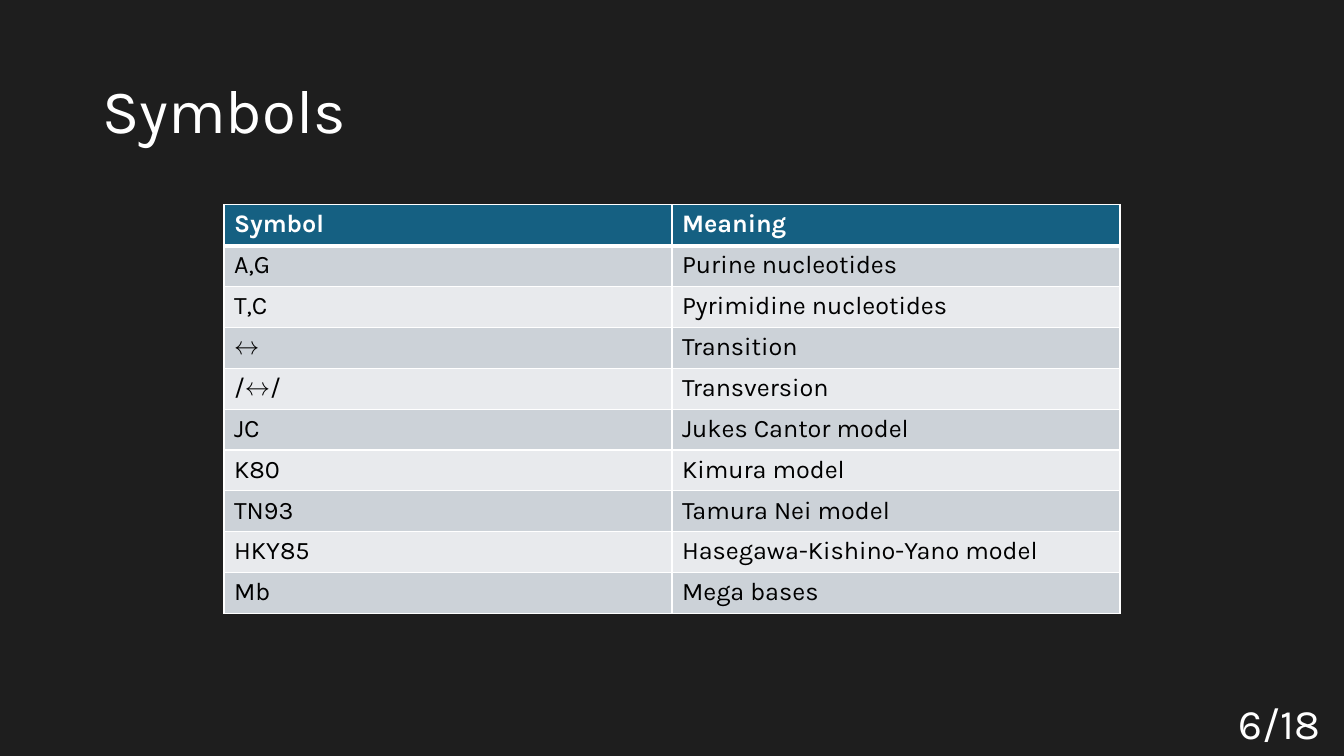
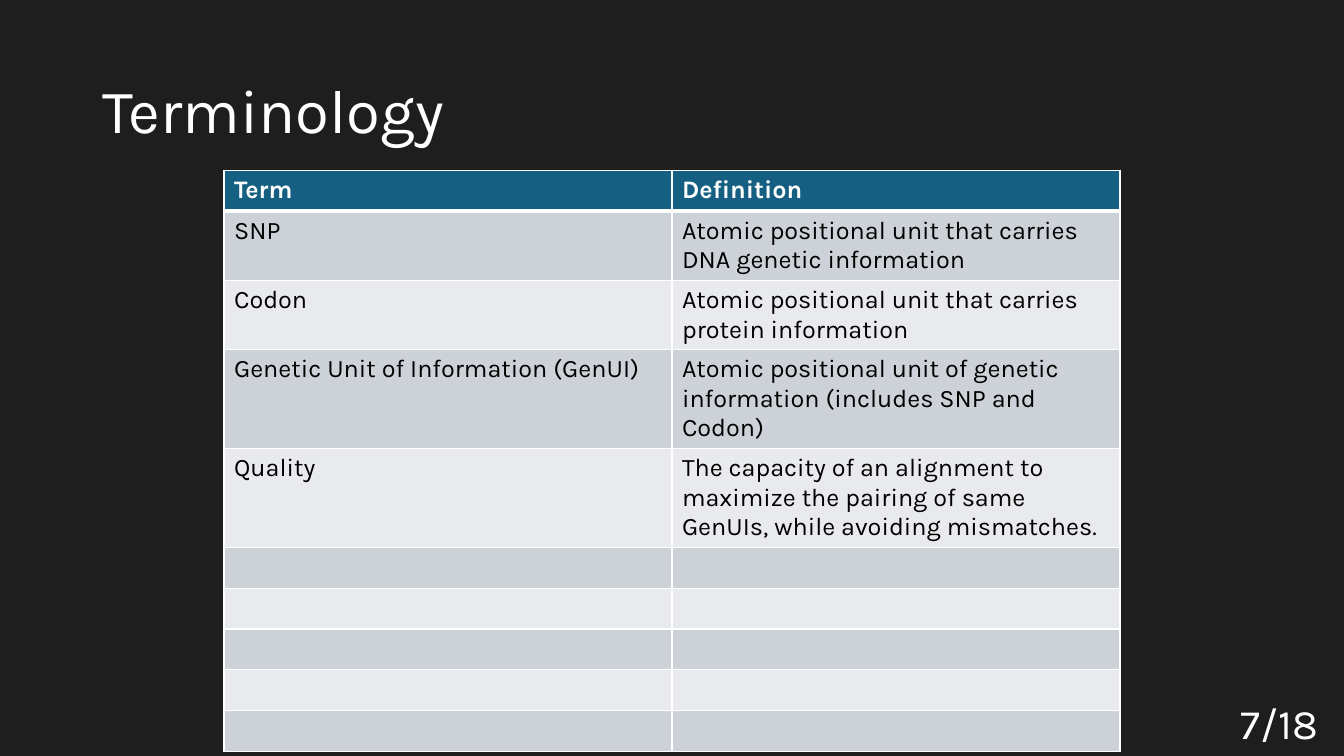
from pptx import Presentation
from pptx.dml.color import RGBColor
from pptx.enum import text
from pptx.oxml import parse_xml
from pptx.oxml.ns import nsdecls
from pptx.util import Cm, Pt

# Content
SLIDES = [
    {
        "title": "Symbols",
        "page": "6/18",
        "table_top": 5.16,
        "rows": [
            ("Symbol", "Meaning"),
            ("A,G", "Purine nucleotides"),
            ("T,C", "Pyrimidine nucleotides"),
            ("↔", "Transition"),
            ("/↔/", "Transversion"),
            ("JC", "Jukes Cantor model"),
            ("K80", "Kimura model"),
            ("TN93", "Tamura Nei model"),
            ("HKY85", "Hasegawa-Kishino-Yano model"),
            ("Mb", "Mega bases"),
        ],
    },
    {
        "title": "Terminology",
        "page": "7/18",
        "table_top": 4.29,
        "rows": [
            ("Term", "Definition"),
            ("SNP", "Atomic positional unit that carries DNA genetic information"),
            ("Codon", "Atomic positional unit that carries protein information"),
            ("Genetic Unit of Information (GenUI)",
             "Atomic positional unit of genetic information (includes SNP and Codon)"),
            ("Quality",
             "The capacity of an alignment to maximize the pairing of same GenUIs, "
             "while avoiding mismatches."),
        ] + [("", "")] * 5,
    },
]

# Shared style
FONT = "Karla"
COLORS = {
    "background": "1E1E1E",
    "light": "FFFFFF",
    "dark": "000000",
    "header": "156082",
    "odd": "CCD2D8",
    "even": "E8EAED",
}
SLIDE_WIDTH, SLIDE_HEIGHT = Cm(33.87), Cm(19.05)
TABLE_WIDTH, ROW_HEIGHT = Cm(22.58), Cm(1.03)
THIN, THICK = 1, 3


def color(name):
    return RGBColor.from_string(COLORS[name])


def format_runs(paragraph, size, color_name, bold=False):
    for run in paragraph.runs:
        run.font.name = FONT
        run.font.size = Pt(size)
        run.font.bold = bold
        run.font.color.rgb = color(color_name)


def add_borders(cell, top, bottom):
    properties = cell._tc.get_or_add_tcPr()
    for side, width in (("L", THIN), ("R", THIN), ("T", top), ("B", bottom)):
        properties.append(parse_xml(
            f'<a:ln{side} {nsdecls("a")} w="{Pt(width)}"><a:solidFill>'
            f'<a:srgbClr val="{COLORS["light"]}"/></a:solidFill></a:ln{side}>'))


def add_title(slide, title):
    slide.shapes.title.text_frame.text = title
    paragraph = slide.shapes.title.text_frame.paragraphs[0]
    paragraph.alignment = text.PP_ALIGN.LEFT
    paragraph.line_spacing = 0.9
    format_runs(paragraph, 44, "light")


def add_banded_table(slide, rows, top):
    columns = len(rows[0])
    table = slide.shapes.add_table(
        len(rows), columns, (SLIDE_WIDTH - TABLE_WIDTH) // 2, Cm(top),
        TABLE_WIDTH, ROW_HEIGHT * len(rows)).table
    for row_index, row in enumerate(rows):
        is_header = row_index == 0
        band = "header" if is_header else ("even", "odd")[row_index % 2]
        for column_index, value in enumerate(row):
            cell = table.cell(row_index, column_index)
            add_borders(cell, THICK if row_index == 1 else THIN,
                        THICK if is_header else THIN)
            cell.fill.solid()
            cell.fill.fore_color.rgb = color(band)
            if value:
                cell.text_frame.text = value
                format_runs(cell.text_frame.paragraphs[0], 18,
                            "light" if is_header else "dark", is_header)


def add_page_number(slide, page):
    box = slide.shapes.add_textbox(Cm(30.63), Cm(17.15), Cm(3.23), Cm(1.83))
    frame = box.text_frame
    frame.word_wrap = True
    frame.vertical_anchor = text.MSO_ANCHOR.BOTTOM
    frame.text = page
    paragraph = frame.paragraphs[0]
    paragraph.alignment = text.PP_ALIGN.CENTER
    paragraph.line_spacing = 0.9
    format_runs(paragraph, 30, "light")


def main():
    presentation = Presentation()
    presentation.slide_width, presentation.slide_height = SLIDE_WIDTH, SLIDE_HEIGHT

    # Background and title place, inherited by every slide
    background = presentation.slide_master.background.fill
    background.solid()
    background.fore_color.rgb = color("background")
    layout = presentation.slide_layouts.get_by_name("Title Only")
    title = layout.placeholders[0]
    title.left, title.top, title.width, title.height = (
        Cm(2.33), Cm(1.02), Cm(29.21), Cm(3.68))
    title.text_frame.vertical_anchor = text.MSO_ANCHOR.MIDDLE

    for content in SLIDES:
        slide = presentation.slides.add_slide(layout)
        add_title(slide, content["title"])
        add_banded_table(slide, content["rows"], content["table_top"])
        add_page_number(slide, content["page"])

    presentation.save("out.pptx")


if __name__ == "__main__":
    main()
